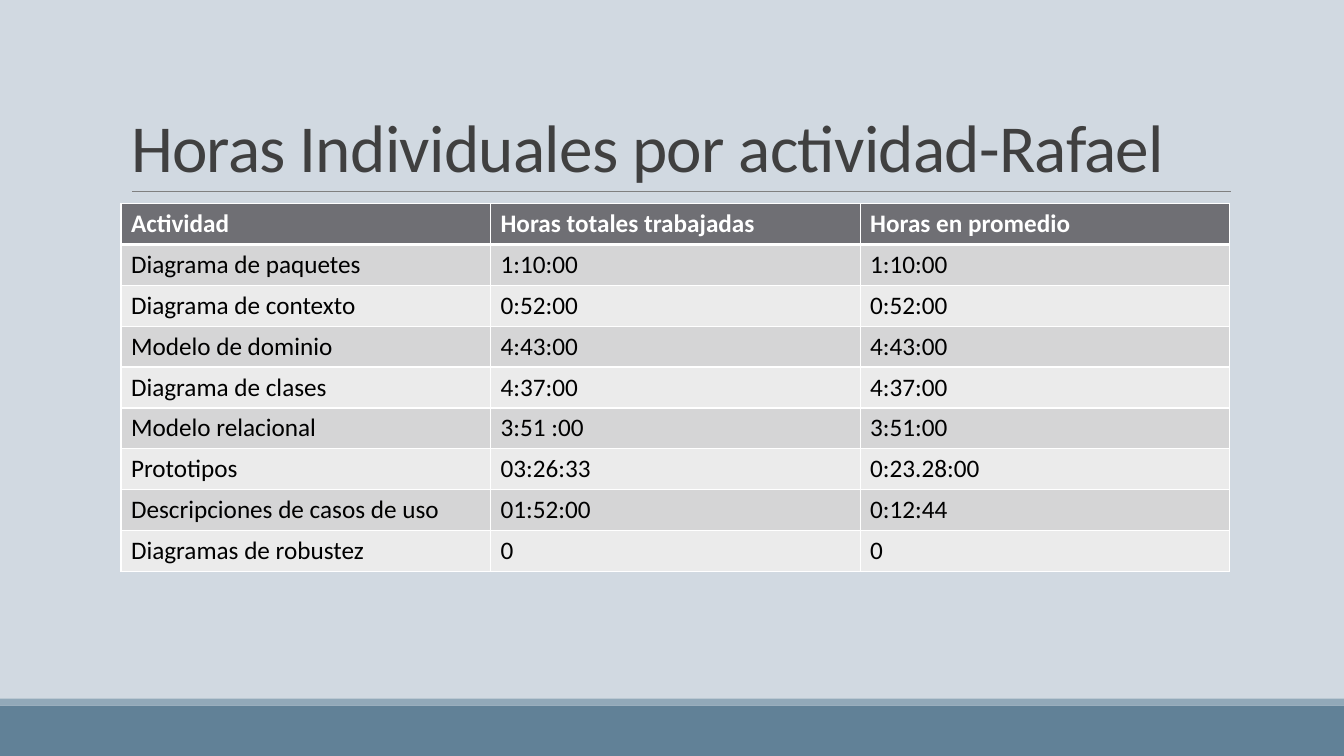
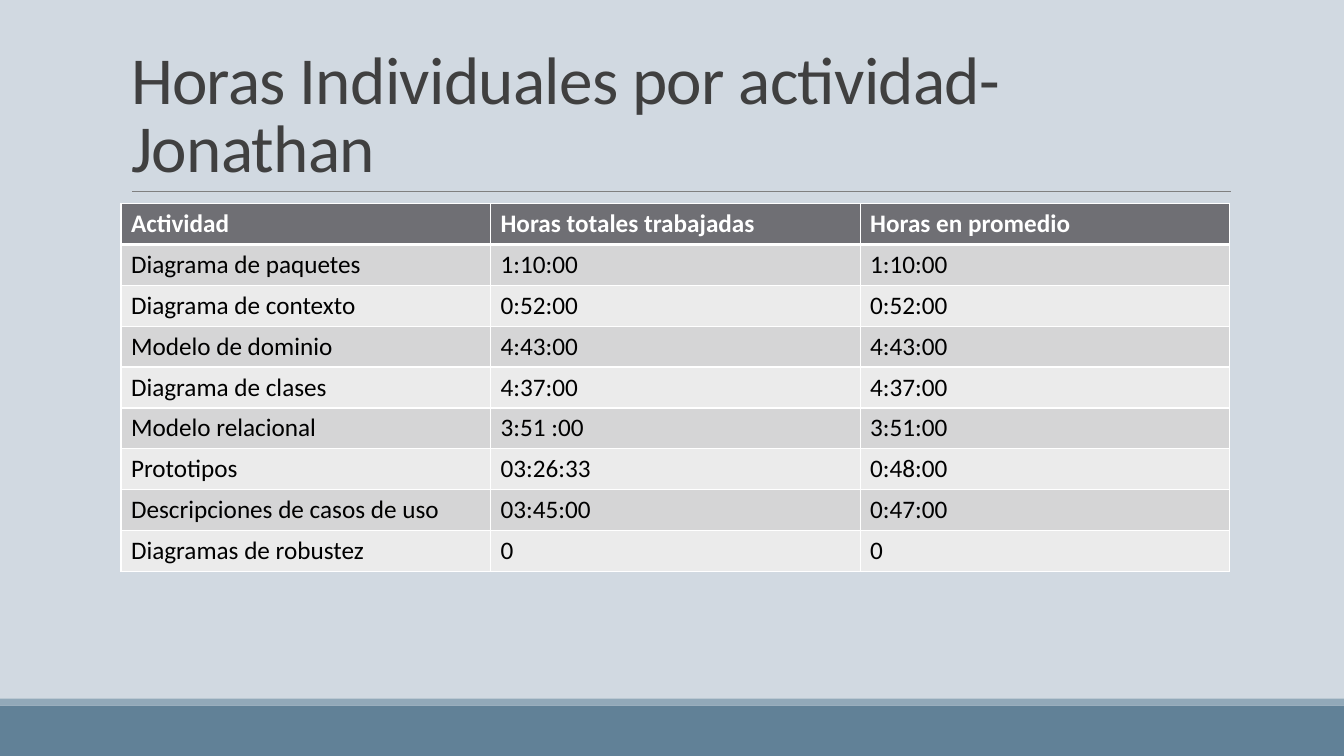
from lxml.etree import SubElement
from pptx import Presentation
from pptx.dml.color import RGBColor
from pptx.enum.shapes import MSO_CONNECTOR as Connector, MSO_SHAPE as Shape
from pptx.enum.text import MSO_ANCHOR as Anchor, MSO_AUTO_SIZE as AutoSize, PP_ALIGN as Align
from pptx.oxml import parse_xml
from pptx.oxml.ns import nsdecls, qn
from pptx.util import Pt

# Colours
BACKGROUND = RGBColor(0xD1, 0xD9, 0xE1)
BAND = RGBColor(0x61, 0x81, 0x97)
BAND_EDGE = RGBColor(0x92, 0xA9, 0xB9)
RULE = RGBColor(0x80, 0x80, 0x80)
TITLE = RGBColor(0x40, 0x40, 0x40)
HEADER = RGBColor(0x6F, 0x6F, 0x74)
ROW_DARK = RGBColor(0xD5, 0xD5, 0xD6)
ROW_LIGHT = RGBColor(0xEB, 0xEB, 0xEB)
WHITE = RGBColor(0xFF, 0xFF, 0xFF)
BLACK = RGBColor(0x00, 0x00, 0x00)

# Sizes in points
WIDTH, HEIGHT = 960, 540
LEFT, CONTENT_WIDTH = 86.4, 792
ROW_HEIGHT = 29.2
FONT = "Calibri"

# Table contents
COLUMNS = ("Actividad", "Horas totales trabajadas", "Horas en promedio")
SHARED_ROWS = [
    ("Diagrama de paquetes", "1:10:00", "1:10:00"),
    ("Diagrama de contexto", "0:52:00", "0:52:00"),
    ("Modelo de dominio", "4:43:00", "4:43:00"),
    ("Diagrama de clases", "4:37:00", "4:37:00"),
    ("Modelo relacional", "3:51 :00", "3:51:00"),
]
LAST_ROW = ("Diagramas de robustez", "0", "0")
MEMBERS = {
    "Rafael": [
        ("Prototipos", "03:26:33", "0:23.28:00"),
        ("Descripciones de casos de uso", "01:52:00", "0:12:44"),
    ],
    "Jonathan": [
        ("Prototipos", "03:26:33", "0:48:00"),
        ("Descripciones de casos de uso", "03:45:00", "0:47:00"),
    ],
}


class Deck:
    """Holds the shared style and the current slide."""

    def __init__(self):
        self.presentation = Presentation()
        self.presentation.slide_width = Pt(WIDTH)
        self.presentation.slide_height = Pt(HEIGHT)
        fill = self.presentation.slide_master.background.fill
        fill.solid()
        fill.fore_color.rgb = BACKGROUND
        self.slide = None

    def new_slide(self, title):
        layout = self.presentation.slide_layouts.get_by_name("Title Only")
        self.slide = self.presentation.slides.add_slide(layout)
        self.band(504, 36, BAND)
        self.band(499, 5, BAND_EDGE)
        self.rule(94.5, 879, 137)
        self.title(title)

    def band(self, top, height, color):
        shape = self.slide.shapes.add_shape(Shape.RECTANGLE, 0, Pt(top), Pt(WIDTH), Pt(height))
        shape.shadow.inherit = False
        shape.fill.solid()
        shape.fill.fore_color.rgb = color
        shape.line.fill.background()

    def rule(self, start, end, top):
        line = self.slide.shapes.add_connector(
            Connector.STRAIGHT, Pt(start), Pt(top), Pt(end), Pt(top))
        line.line.color.rgb = RULE
        line.line.width = Pt(0.5)
        SubElement(line._element.spPr, qn("a:effectLst"))

    def title(self, text):
        shape = self.slide.shapes.title
        shape.left, shape.top = Pt(LEFT), Pt(22.6)
        shape.width, shape.height = Pt(CONTENT_WIDTH), Pt(114.2)
        frame = shape.text_frame
        frame.text = text
        frame.word_wrap = True
        frame.auto_size = AutoSize.NONE
        frame.vertical_anchor = Anchor.BOTTOM
        paragraph = frame.paragraphs[0]
        paragraph.alignment = Align.LEFT
        paragraph.line_spacing = 0.85
        run = paragraph.runs[0]
        self.format_font(run.font, 48, TITLE)
        run._r.get_or_add_rPr().set("spc", "-50")

    def table(self, rows, top):
        table = self.slide.shapes.add_table(
            len(rows), len(rows[0]), Pt(LEFT), Pt(top),
            Pt(CONTENT_WIDTH), Pt(ROW_HEIGHT * len(rows))).table
        for row_index, values in enumerate(rows):
            table.rows[row_index].height = Pt(ROW_HEIGHT)
            for column_index, value in enumerate(values):
                self.cell(table.cell(row_index, column_index), value, row_index)

    def cell(self, cell, text, row_index):
        is_header = row_index == 0
        stripe = ROW_DARK if row_index % 2 else ROW_LIGHT
        cell.fill.solid()
        cell.fill.fore_color.rgb = HEADER if is_header else stripe
        cell.text_frame.text = text
        font = cell.text_frame.paragraphs[0].runs[0].font
        self.format_font(font, 18, WHITE if is_header else BLACK, is_header)
        # The line under the header is thicker than the others
        self.borders(cell, top=3 if row_index == 1 else 1, bottom=3 if is_header else 1)

    def borders(self, cell, top, bottom):
        properties = cell._tc.get_or_add_tcPr()
        widths = {"lnL": 1, "lnR": 1, "lnT": top, "lnB": bottom}
        for position, (tag, width) in enumerate(widths.items()):
            properties.insert(position, parse_xml(
                f'<a:{tag} {nsdecls("a")} w="{Pt(width)}"><a:solidFill>'
                f'<a:srgbClr val="{WHITE}"/></a:solidFill></a:{tag}>'))

    def format_font(self, font, size, color, bold=False):
        font.name = FONT
        font.size = Pt(size)
        font.bold = bold
        font.color.rgb = color


def main():
    deck = Deck()
    for name, own_rows in MEMBERS.items():
        deck.new_slide(f"Horas Individuales por actividad-{name}")
        deck.table([COLUMNS, *SHARED_ROWS, *own_rows, LAST_ROW], top=145.4)
    deck.presentation.save("out.pptx")


if __name__ == "__main__":
    main()
